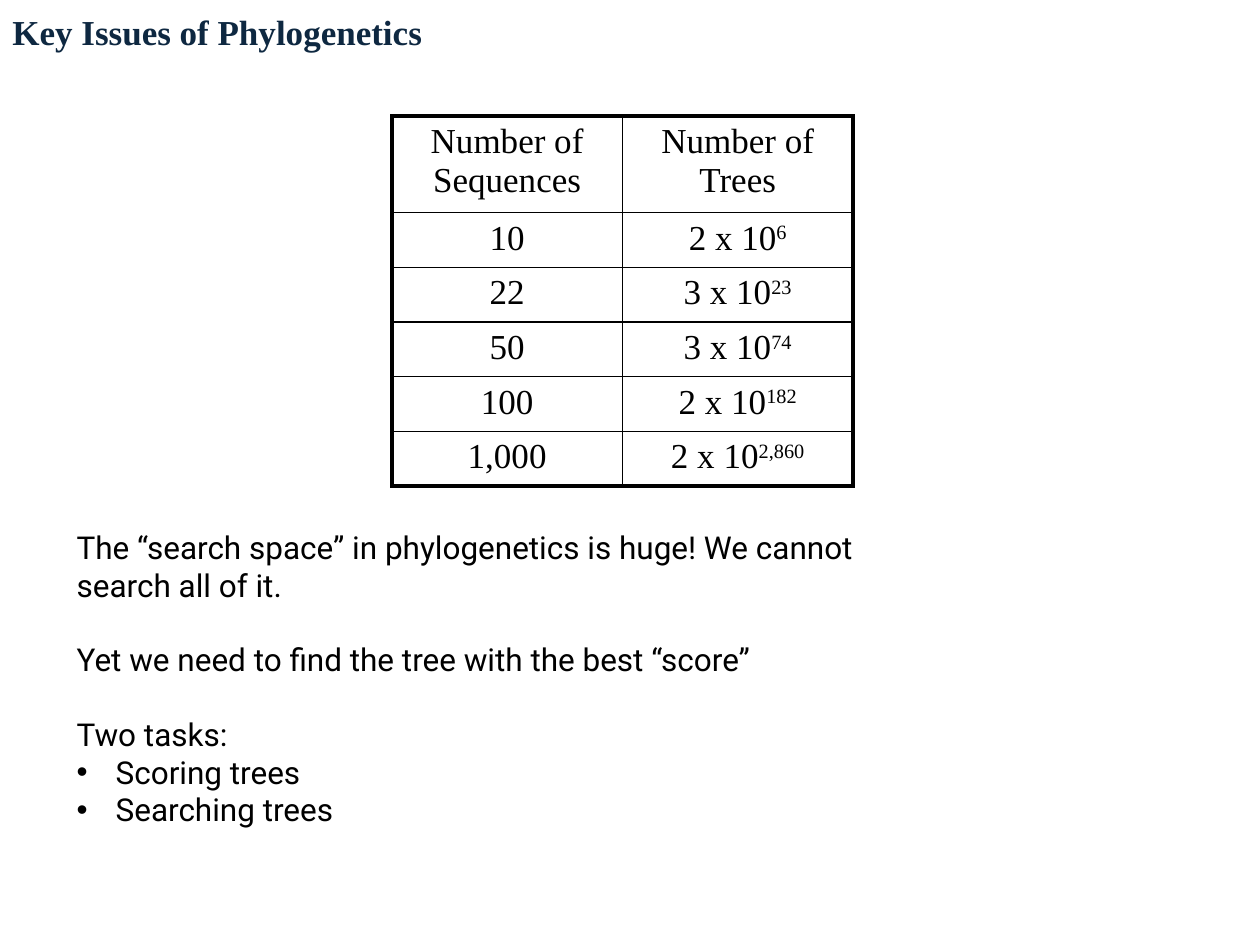
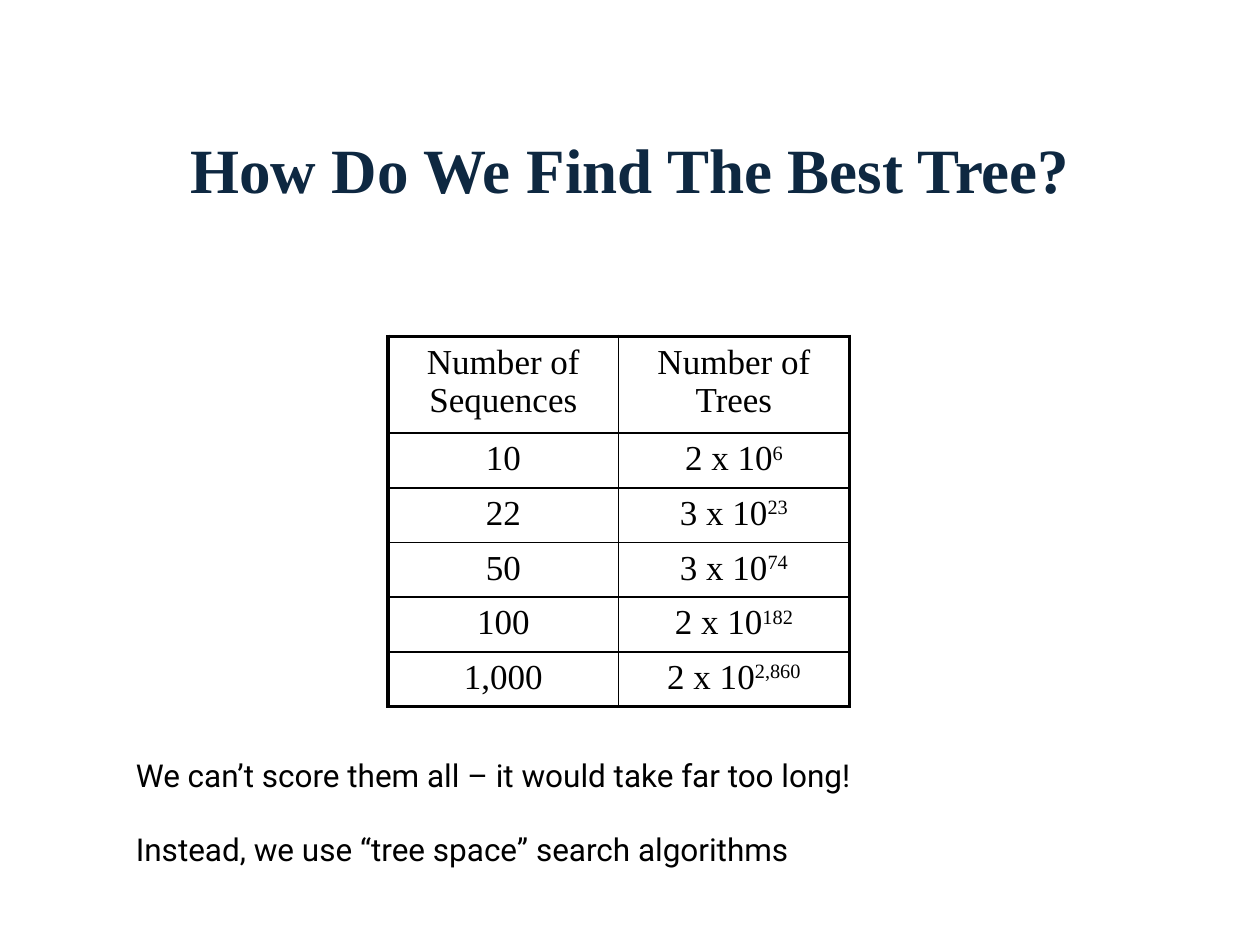
"""Build two slides on the size of the phylogenetic search space."""
from lxml.etree import SubElement
from pptx import Presentation
from pptx.dml.color import RGBColor
from pptx.enum.text import MSO_ANCHOR, PP_ALIGN
from pptx.oxml.ns import qn
from pptx.util import Inches, Pt

NAVY = "0E2841"
BLACK = "000000"
SERIF = "Times New Roman"
SANS = "Roboto"
THICK, THIN = 2.25, 1
COLUMN_WIDTH = 1.83
HEADER_HEIGHT, ROW_HEIGHT = 0.71, 0.41

tree_counts = [
    ("Number of Sequences", "Number of Trees", ""),
    ("10", "2 x 10", "6"),
    ("22", "3 x 10", "23"),
    ("50", "3 x 10", "74"),
    ("100", "2 x 10", "182"),
    ("1,000", "2 x 10", "2,860"),
]
slides = [
    {
        "title": "Key Issues of Phylogenetics",
        "title_box": (0, 0, 8.5, 0.5),
        "title_size": 20,
        "title_align": PP_ALIGN.LEFT,
        "table_at": (3.11, 0.92),
        "notes_box": (0.51, 4.14, 6.38, 2.52),
        "notes": [
            "The “search space” in phylogenetics is huge! We cannot search all of it.",
            "Yet we need to find the tree with the best “score”",
            "Two tasks:",
        ],
        "bullets": ["Scoring trees", "Searching trees"],
    },
    {
        "title": "How Do We Find The Best Tree?",
        "title_box": (0.25, 0.42, 9.5, 1.83),
        "title_size": 36,
        "title_align": PP_ALIGN.CENTER,
        "table_at": (3.08, 2.67),
        "notes_box": (0.98, 5.95, 7.4, 1.01),
        "notes": [
            "We can’t score them all – it would take far too long!",
            "Instead, we use “tree space” search algorithms",
        ],
        "bullets": [],
    },
]


def colour(hex_text):
    return RGBColor.from_string(hex_text)


def add_span(para, text, font, size, hex_text=BLACK):
    span = para.add_run()
    span.text = text
    span.font.name = font
    span.font.size = Pt(size)
    span.font.color.rgb = colour(hex_text)
    return span


deck = Presentation()
deck.slide_width, deck.slide_height = Inches(10), Inches(7.5)

for content in slides:
    page = deck.slides.add_slide(deck.slide_layouts[6])

    title_box = page.shapes.add_textbox(*map(Inches, content["title_box"]))
    title_frame = title_box.text_frame
    title_frame.word_wrap = True
    title_frame.vertical_anchor = MSO_ANCHOR.MIDDLE
    para = title_frame.paragraphs[0]
    para.alignment = content["title_align"]
    span = add_span(para, content["title"], SERIF, content["title_size"], NAVY)
    span.font.bold = True

    left, top = content["table_at"]
    last_row = len(tree_counts) - 1
    table_height = HEADER_HEIGHT + last_row * ROW_HEIGHT
    table = page.shapes.add_table(
        len(tree_counts), 2, Inches(left), Inches(top),
        Inches(2 * COLUMN_WIDTH), Inches(table_height),
    ).table
    table.first_row = False
    table.horz_banding = False
    for column in table.columns:
        column.width = Inches(COLUMN_WIDTH)

    for row_index, (sequences, trees, exponent) in enumerate(tree_counts):
        table.rows[row_index].height = Inches(ROW_HEIGHT if row_index else HEADER_HEIGHT)
        for column_index, text in enumerate((sequences, trees)):
            cell = table.cell(row_index, column_index)
            para = cell.text_frame.paragraphs[0]
            para.alignment = PP_ALIGN.CENTER
            add_span(para, text, SERIF, 20)
            if column_index == 1 and exponent:
                power = add_span(para, exponent, SERIF, 20)
                power.font._element.set("baseline", "30000")

            outer_edges = {
                "a:lnL": column_index == 0,
                "a:lnR": column_index == 1,
                "a:lnT": row_index == 0,
                "a:lnB": row_index == last_row,
            }
            cell_properties = cell._tc.get_or_add_tcPr()
            for edge, is_outer in outer_edges.items():
                width = Pt(THICK if is_outer else THIN)
                line = SubElement(cell_properties, qn(edge), w=str(width))
                fill = SubElement(line, qn("a:solidFill"))
                SubElement(fill, qn("a:srgbClr"), val=BLACK)
            cell.fill.background()

    notes_box = page.shapes.add_textbox(*map(Inches, content["notes_box"]))
    notes_frame = notes_box.text_frame
    notes_frame.word_wrap = True
    for index, text in enumerate(content["notes"]):
        para = notes_frame.add_paragraph() if index else notes_frame.paragraphs[0]
        para.space_before = Pt(21 if index else 0)
        add_span(para, text, SANS, 18)
    for text in content["bullets"]:
        para = notes_frame.add_paragraph()
        add_span(para, text, SANS, 18)
        properties = para._p.get_or_add_pPr()
        properties.set("marL", str(Inches(0.31)))
        properties.set("indent", str(-Inches(0.31)))
        SubElement(properties, qn("a:buFont"), typeface="Arial")
        SubElement(properties, qn("a:buChar"), char="•")

deck.save("out.pptx")
